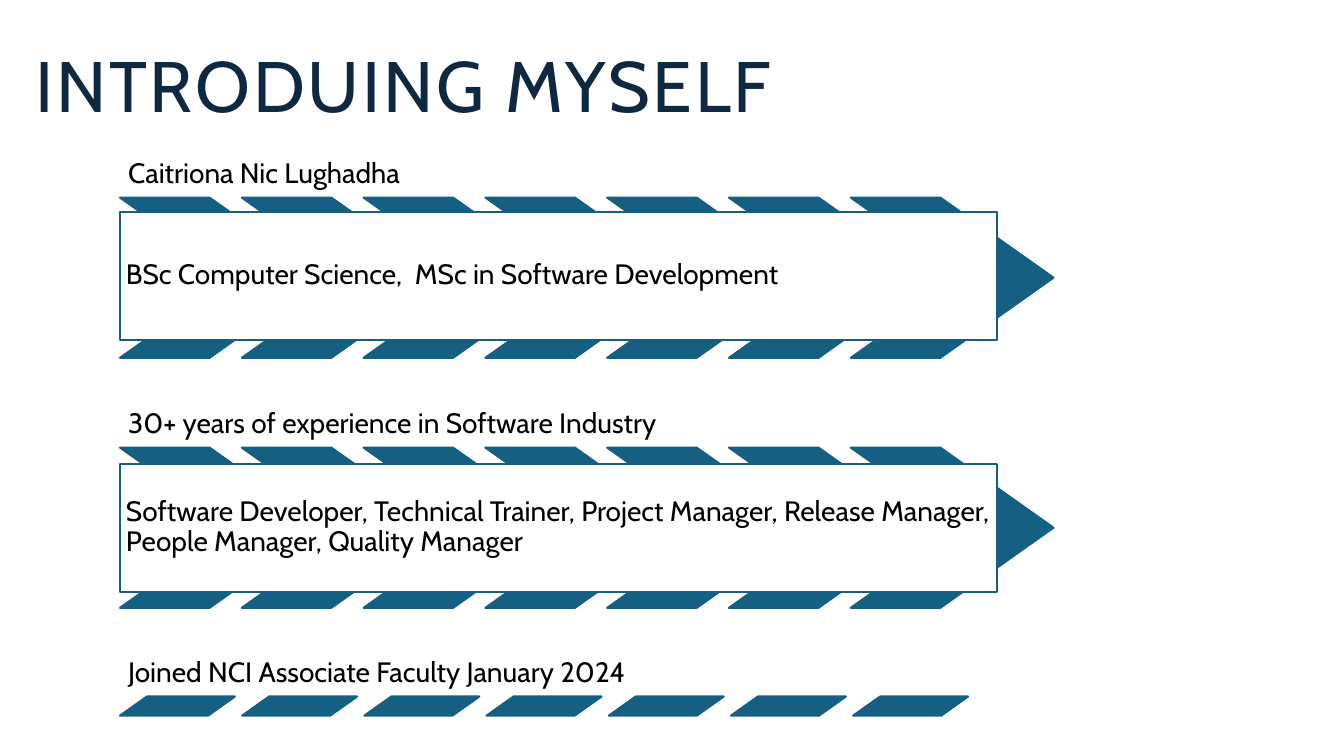
from pptx import Presentation
from pptx.dml.color import RGBColor
from pptx.enum.shapes import MSO_SHAPE
from pptx.enum.text import MSO_ANCHOR, PP_ALIGN
from pptx.util import Inches, Pt

CHEVRON = MSO_SHAPE.CHEVRON
SLANT = MSO_SHAPE.PARALLELOGRAM
RECT = MSO_SHAPE.RECTANGLE
TOP, MIDDLE, BOTTOM = MSO_ANCHOR.TOP, MSO_ANCHOR.MIDDLE, MSO_ANCHOR.BOTTOM
LEFT = PP_ALIGN.LEFT
TEAL = RGBColor(0x15, 0x60, 0x82)
NAVY = RGBColor(0x0E, 0x28, 0x41)
WHITE = RGBColor(0xFF, 0xFF, 0xFF)
BLACK = RGBColor(0, 0, 0)

deck = Presentation()
deck.slide_width = Inches(13.33)
deck.slide_height = Inches(7.5)
slide = deck.slides.add_slide(deck.slide_layouts[6])


def add_form(kind, box, fill, adjust=None):
    form = slide.shapes.add_shape(kind, *map(Inches, box))
    form.shadow.inherit = False
    form.fill.solid()
    form.fill.fore_color.rgb = fill
    form.line.color.rgb = TEAL
    form.line.width = Pt(1.5)
    if adjust:
        form.adjustments[0] = adjust
    return form


def write(shape, text, size, color, anchor, inset):
    frame = shape.text_frame
    frame.word_wrap = True
    frame.vertical_anchor = anchor
    for side in ("left", "top", "right", "bottom"):
        setattr(frame, f"margin_{side}", Inches(inset))
    para = frame.paragraphs[0]
    para.alignment = LEFT
    para.line_spacing = 0.9
    run = para.add_run()
    run.text = text
    for name, value in {"name": "Cabin", "size": Pt(size)}.items():
        setattr(run.font, name, value)
    run.font.color.rgb = color
    return run


title = slide.shapes.add_textbox(Inches(0.25), Inches(0.42), Inches(11.13), Inches(1.63))
run = write(title, "INTRODUING MYSELF", 51, NAVY, TOP, 0.08)
title.text_frame.margin_left = Inches(0.1)
run.font._element.set("spc", "200")

EDGE = 1.19
HEAD = 0.78
COUNT = 7
chevron = (CHEVRON, 2.01, 1.59, 0.706, 1.208)
slant = (SLANT, 1.14, 0.19, 1.408, 1.212)

rows = [
    (1.18, "Caitriona Nic Lughadha", chevron, 2.1,
     "BSc Computer Science,  MSc in Software Development"),
    (3.66, "30+ years of experience in Software Industry", chevron, 4.6,
     "Software Developer, Technical Trainer, Project Manager, Release Manager, "
     "People Manager, Quality Manager"),
    (6.13, "Joined NCI Associate Faculty January 2024", slant, None, None),
]

for top, head, (kind, width, height, adjust, step), low, body in rows:
    label = slide.shapes.add_textbox(Inches(EDGE), Inches(top), Inches(8.58), Inches(HEAD))
    write(label, head, 20, BLACK, BOTTOM, 0.08)
    for i in range(COUNT):
        add_form(kind, (EDGE + i * step, top + HEAD, width, height), TEAL, adjust)
    if body:
        panel = add_form(RECT, (EDGE, low, 8.7, 1.27), WHITE)
        write(panel, body, 20, BLACK, MIDDLE, 0.06)

deck.save("out.pptx")
